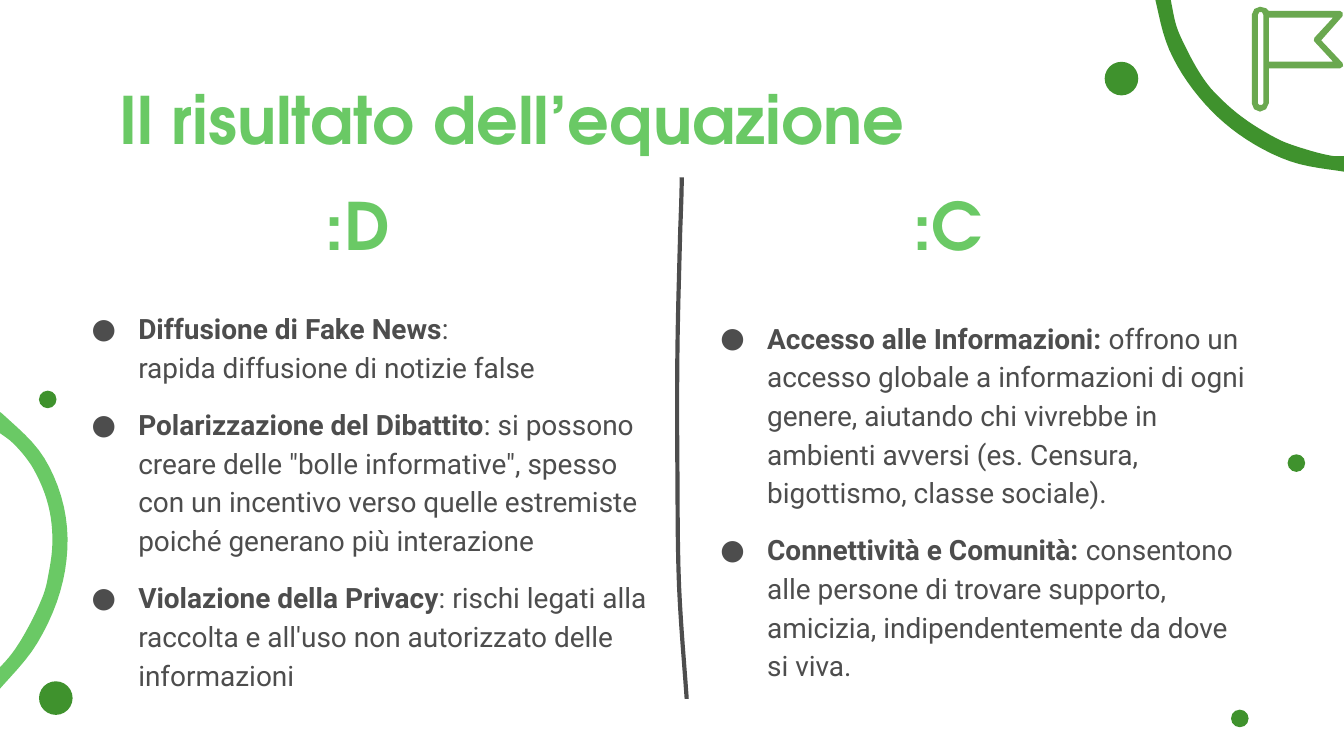
from dataclasses import dataclass
from math import hypot

from lxml.etree import SubElement
from pptx import Presentation
from pptx.dml.color import RGBColor
from pptx.enum.shapes import MSO_SHAPE
from pptx.enum.text import MSO_ANCHOR, PP_ALIGN
from pptx.oxml.ns import qn
from pptx.util import Pt

Point = tuple[float, float]


@dataclass(frozen=True)
class Theme:
    light: str = "6AC965"
    dark: str = "3F922D"
    flag: str = "6AA84F"
    ink: str = "4D4D4D"
    head: str = "TeX Gyre Adventor"
    body: str = "Roboto"
    big: float = 35
    small: float = 15


@dataclass(frozen=True)
class Box:
    left: float
    top: float
    width: float
    height: float


@dataclass(frozen=True)
class Dot:
    left: float
    top: float
    size: float


@dataclass(frozen=True)
class Item:
    lead: str
    rest: str


@dataclass(frozen=True)
class Column:
    mark: str
    head: Box
    box: Box
    items: tuple[Item, ...]


THEME = Theme()

# Outlines, in points
LEFT_ARC = [
    (-5, 219), (1.4, 221.8), (23.8, 245.5), (35.3, 277.2), (33.8, 311),
    (20.2, 344.2), (-2.2, 371.5), (-4.3, 373), (-8, 370.8), (-9.4, 368),
    (-5, 362.9), (6.5, 350), (15.1, 336.2), (22.3, 321.1), (25.2, 311.8),
    (28.1, 290.9), (25.9, 270.7), (18, 251.3), (7.2, 237.6), (-5.8, 227.5),
    (-8.6, 221.8),
]
RIGHT_ARC = [
    (622.1, -7.2), (618.5, -5.8), (618.5, -2.2), (626.4, 26.6), (642.2, 51.8),
    (663.8, 72), (691.2, 86.4), (721.4, 92.2), (725, 92.2), (729.4, 88.6),
    (725, 84.2), (713.5, 83.5), (697, 79.2), (684, 74.2), (665.3, 62.6),
    (650.2, 49), (642.2, 38.2), (633.6, 22), (630, 13), (627.1, -0.7),
    (626.4, -4.3), (624.2, -7.2),
]
DIVIDER = [(367.9, 374.4), (363.8, 314), (362.9, 251.3), (362.9, 189.4),
           (364.3, 128.2), (365, 107.3), (365.3, 95)]
BANNER = [(714.2, 9.4), (704.2, 20.2), (703.9, 21.6), (704.2, 22.3),
          (714.2, 33.1), (679.7, 33.1), (679.7, 9.4)]
POLE = [(674.6, 6.5), (676.1, 6.5), (676.8, 7.9), (676.8, 55.4),
        (676.1, 56.2), (674.6, 56.2), (673.9, 55.4), (673.9, 7.9)]
RIM = [
    (675, 3.6), (672, 4.8), (670.6, 7.9), (670.6, 55.4), (671.9, 58.5),
    (675, 59.8), (678.2, 58.5), (679.7, 55.4), (679.7, 36.7), (717.8, 36.7),
    (719.5, 35.5), (719.3, 33.8), (707.8, 21.6), (719.3, 8.6), (719.3, 6.8),
    (717.8, 5.8), (679.7, 5.8), (678.2, 4.4),
]

DOTS = [Dot(20.9, 365, 18), Dot(20.9, 209.3, 9.4), Dot(689.8, 243.4, 9.4),
        Dot(591.8, 33.1, 18), Dot(659.5, 380.2, 9.4)]

COLUMNS = [
    Column(":D", Box(51.8, 92.2, 280, 56.9), Box(31, 154.8, 326.2, 225.4), (
        Item("Diffusione di Fake News",
             ":\nrapida diffusione di notizie false"),
        Item("Polarizzazione del Dibattito",
             ": si possono creare delle \"bolle informative\", spesso con un "
             "incentivo verso quelle estremiste poiché generano più interazione"),
        Item("Violazione della Privacy",
             ": rischi legati alla raccolta e all'uso non autorizzato delle "
             "informazioni"),
    )),
    Column(":C", Box(367.9, 92.2, 280, 56.9), Box(367.9, 154.8, 311.8, 225.4), (
        Item("Accesso alle Informazioni:",
             " offrono un accesso globale a informazioni di ogni genere, "
             "aiutando chi vivrebbe in ambienti avversi (es. Censura, "
             "bigottismo, classe sociale)."),
        Item("Connettività e Comunità:",
             " consentono alle persone di trovare supporto, amicizia, "
             "indipendentemente da dove si viva."),
    )),
]


def bend(knots: list[Point], loop: bool, steps: int = 6) -> list[Point]:
    """Smooth curve through the knots, as short straight steps."""
    count = len(knots)

    def slope(i: int) -> Point:
        a, b = ((i - 1) % count, (i + 1) % count) if loop else (
            max(i - 1, 0), min(i + 1, count - 1))
        dx, dy = knots[b][0] - knots[a][0], knots[b][1] - knots[a][1]
        size = hypot(dx, dy)
        return dx / size, dy / size

    curve = [knots[0]]
    for i in range(count if loop else count - 1):
        j = (i + 1) % count
        p, q, u, v = knots[i], knots[j], slope(i), slope(j)
        reach = hypot(q[0] - p[0], q[1] - p[1]) / 3
        for step in range(1, steps + 1):
            t = step / steps
            s = 1 - t
            curve.append(tuple(
                s**3 * p[k] + 3 * s * s * t * (p[k] + reach * u[k])
                + 3 * s * t * t * (q[k] - reach * v[k]) + t**3 * q[k]
                for k in (0, 1)))
    return curve


def paint(shape, color: str) -> None:
    shape.shadow.inherit = False
    shape.fill.solid()
    shape.fill.fore_color.rgb = RGBColor.from_string(color)
    shape.line.fill.background()


def trace(slide, paths: list[list[Point]], close: bool = True):
    pens = [[(Pt(x), Pt(y)) for x, y in path] for path in paths]
    form = slide.shapes.build_freeform(*pens[0][0])
    for i, pen in enumerate(pens):
        if i:
            form.move_to(*pen[0])
        form.add_line_segments(pen[1:], close=close)
    return form.convert_to_shape()


def style(run, face: str, size: float, color: str, bold: bool) -> None:
    run.font.name, run.font.size, run.font.bold = face, Pt(size), bold
    run.font.color.rgb = RGBColor.from_string(color)


def frame(slide, box: Box):
    area = slide.shapes.add_textbox(
        Pt(box.left), Pt(box.top), Pt(box.width), Pt(box.height)).text_frame
    area.word_wrap = True
    area.margin_left = area.margin_right = Pt(7.2)
    area.margin_top = area.margin_bottom = Pt(7.2)
    return area


def title(slide, text: str, box: Box, align: PP_ALIGN) -> None:
    area = frame(slide, box)
    area.text = text
    para = area.paragraphs[0]
    para.alignment = align
    style(para.runs[0], THEME.head, THEME.big, THEME.light, True)


def bullet(para) -> None:
    props = para._p.get_or_add_pPr()
    props.set("marL", str(Pt(36)))
    props.set("indent", str(Pt(-25)))
    SubElement(SubElement(props, qn("a:buClr")), qn("a:srgbClr"), val=THEME.ink)
    SubElement(props, qn("a:buFont"), typeface=THEME.body)
    SubElement(props, qn("a:buChar"), char="●")


def column(slide, col: Column) -> None:
    title(slide, col.mark, col.head, PP_ALIGN.CENTER)
    area = frame(slide, col.box)
    area.vertical_anchor = MSO_ANCHOR.MIDDLE
    for i, item in enumerate(col.items):
        para = area.add_paragraph() if i else area.paragraphs[0]
        para.text = item.lead
        bullet(para)
        para.line_spacing = 1.15
        para.space_before = Pt(10 if i else 0)
        for n, line in enumerate(item.rest.split("\n")):
            if n:
                para.add_line_break()
            para.add_run().text = line
        for n, run in enumerate(para.runs):
            style(run, THEME.body, THEME.small, THEME.ink, n == 0)


def main() -> None:
    deck = Presentation()
    deck.slide_width, deck.slide_height = Pt(720), Pt(405)
    slide = deck.slides.add_slide(deck.slide_layouts[6])

    # Arcs and dots
    paint(trace(slide, [bend(LEFT_ARC, True)]), THEME.light)
    paint(trace(slide, [bend(RIGHT_ARC, True)]), THEME.dark)
    for dot in DOTS:
        paint(slide.shapes.add_shape(MSO_SHAPE.OVAL, Pt(dot.left), Pt(dot.top),
                                     Pt(dot.size), Pt(dot.size)), THEME.dark)

    # Title and divider
    title(slide, "Il risultato dell’equazione",
          Box(56.9, 35.3, 522.7, 45.4), PP_ALIGN.LEFT)
    rule = trace(slide, [bend(DIVIDER, False)], close=False)
    rule.shadow.inherit = False
    rule.fill.background()
    rule.line.color.rgb = RGBColor.from_string(THEME.ink)
    rule.line.width = Pt(2.25)

    # Columns
    for col in COLUMNS:
        column(slide, col)

    # Flag
    paint(trace(slide, [BANNER, POLE, RIM]), THEME.flag)
    deck.save("out.pptx")


if __name__ == "__main__":
    main()
